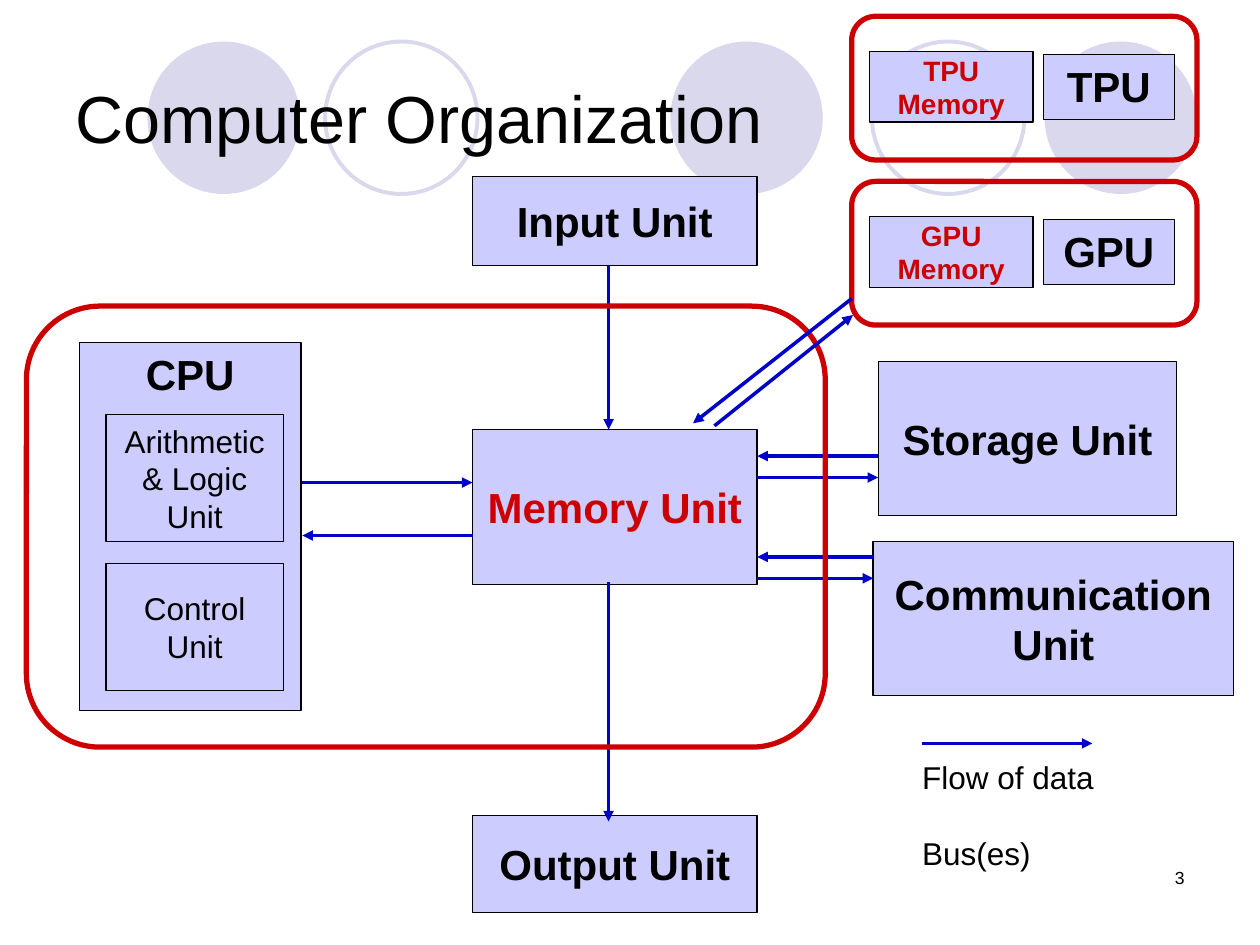
from lxml import etree
from pptx import Presentation
from pptx import util as u
from pptx.dml.color import RGBColor
from pptx.enum import shapes, text
from pptx.oxml.ns import qn

BLACK, RED, BLUE = "000000", "CC0000", "0000CC"
PANEL, RING = "CCCCFF", "D9D8EC"
MIDDLE, TOP = text.MSO_ANCHOR.MIDDLE, text.MSO_ANCHOR.TOP
LEFT, CENTER, RIGHT = text.PP_ALIGN.LEFT, text.PP_ALIGN.CENTER, text.PP_ALIGN.RIGHT


def color(value):
    """Turn a hex string into a colour."""
    return RGBColor.from_string(value)


def inches(*values):
    """Turn numbers into lengths."""
    return [u.Inches(value) for value in values]


class Diagram:
    """Holds the style and the slide being drawn."""

    font = "Arial"

    def __init__(self, slide):
        self.slide = slide

    def fill_text(self, shape, lines, size=24, ink=BLACK, bold=False,
                  align=CENTER, anchor=MIDDLE, wrap=True, gap=0):
        """Put one paragraph per line into a shape."""
        frame = shape.text_frame
        frame.word_wrap, frame.vertical_anchor = wrap, anchor
        for index, line in enumerate(lines):
            para = frame.add_paragraph() if index else frame.paragraphs[0]
            para.alignment = align
            if index and gap:
                para.space_before = u.Pt(gap)
            span = para.add_run()
            span.text = line
            style = {"name": self.font, "size": u.Pt(size), "bold": bold}
            for name, value in style.items():
                setattr(span.font, name, value)
            span.font.color.rgb = color(ink)

    def shape(self, kind, at, fill=None, line=None, width=0.75):
        """Add a preset shape with an optional fill and outline."""
        shape = self.slide.shapes.add_shape(kind, *inches(*at))
        shape.shadow.inherit = False
        if fill:
            shape.fill.solid()
            shape.fill.fore_color.rgb = color(fill)
        else:
            shape.fill.background()
        if line:
            shape.line.color.rgb = color(line)
            shape.line.width = u.Pt(width)
        else:
            shape.line.fill.background()
        return shape

    def unit(self, at, *lines, bold=True, **style):
        """Add a labelled hardware box."""
        box = self.shape(shapes.MSO_SHAPE.RECTANGLE, at, PANEL, BLACK)
        self.fill_text(box, lines, bold=bold, **style)

    def frame(self, *at):
        """Add a red rounded outline around a group of units."""
        self.shape(shapes.MSO_SHAPE.ROUNDED_RECTANGLE, at, line=RED, width=3)

    def label(self, at, *lines, **style):
        """Add plain text."""
        box = self.slide.shapes.add_textbox(*inches(*at))
        self.fill_text(box, lines, **style)

    def flow(self, *ends):
        """Add a data arrow pointing at its second end."""
        arrow = self.slide.shapes.add_connector(
            shapes.MSO_CONNECTOR.STRAIGHT, *inches(*ends))
        arrow.line.color.rgb = color(BLUE)
        arrow.line.width = u.Pt(2)
        outline = arrow._element.spPr.find(qn("a:ln"))
        etree.SubElement(outline, qn("a:tailEnd"), type="triangle")
        etree.SubElement(arrow._element.spPr, qn("a:effectLst"))


deck = Presentation()
deck.slide_width, deck.slide_height = inches(10, 7.5)
diagram = Diagram(deck.slides.add_slide(deck.slide_layouts[6]))

# Background circles
for left in (1.17, 5.32, 8.29):
    diagram.shape(shapes.MSO_SHAPE.OVAL, (left, 0.33, 1.21, 1.21), fill=RING)
for left in (2.58, 6.92):
    diagram.shape(shapes.MSO_SHAPE.OVAL, (left, 0.33, 1.21, 1.21), line=RING, width=2.25)

diagram.label((7.17, 6.83, 2.33, 0.5), "3", size=10, align=RIGHT, anchor=TOP)
diagram.label((0.5, 0.3, 9, 1.25), "Computer Organization", size=38, align=LEFT)

# Central column and CPU
diagram.unit((0.63, 2.72, 1.76, 2.92), "CPU", anchor=TOP, wrap=False)
diagram.unit((3.75, 1.4, 2.26, 0.71), "Input Unit")
diagram.unit((3.75, 6.47, 2.26, 0.77), "Output Unit")
diagram.unit((3.75, 3.41, 2.26, 1.23), "Memory Unit", ink=RED)
diagram.unit((0.84, 4.47, 1.41, 1.01), "Control", "Unit", size=18, bold=False)
diagram.unit((0.84, 3.29, 1.41, 1.01), "Arithmetic", "& Logic", "Unit",
             size=18, bold=False, wrap=False)

# Peripheral units
diagram.unit((6.93, 4.3, 2.86, 1.22), "Communication Unit")
diagram.unit((6.97, 2.87, 2.37, 1.22), "Storage Unit")

# Data flow
for ends in (
    (2.4, 3.83, 3.75, 3.83), (3.75, 4.25, 2.4, 4.25),
    (4.83, 2.11, 4.83, 3.41), (4.83, 4.62, 4.83, 6.52),
    (6.97, 3.62, 6.01, 3.62), (6.01, 3.79, 6.97, 3.79),
    (6.93, 4.42, 6.01, 4.42), (6.01, 4.59, 6.93, 4.59),
    (7.32, 5.9, 8.67, 5.9),
):
    diagram.flow(*ends)
diagram.label((7.22, 5.97, 1.58, 1.01), "Flow of data", "Bus(es)",
              size=18, align=LEFT, anchor=TOP, wrap=False, gap=21.5)

diagram.frame(0.21, 2.43, 6.34, 3.5)

# Accelerators, each with its own memory
for name, top in (("GPU", 1.44), ("TPU", 0.13)):
    diagram.unit((8.28, top + 0.3, 1.04, 0.52), name, anchor=TOP, wrap=False)
    diagram.frame(6.76, top, 2.74, 1.14)
    diagram.unit((6.9, top + 0.28, 1.3, 0.56), name, "Memory", size=16, ink=RED)
diagram.flow(6.76, 2.37, 5.5, 3.36)
diagram.flow(5.67, 3.38, 6.77, 2.5)

deck.save("out.pptx")
